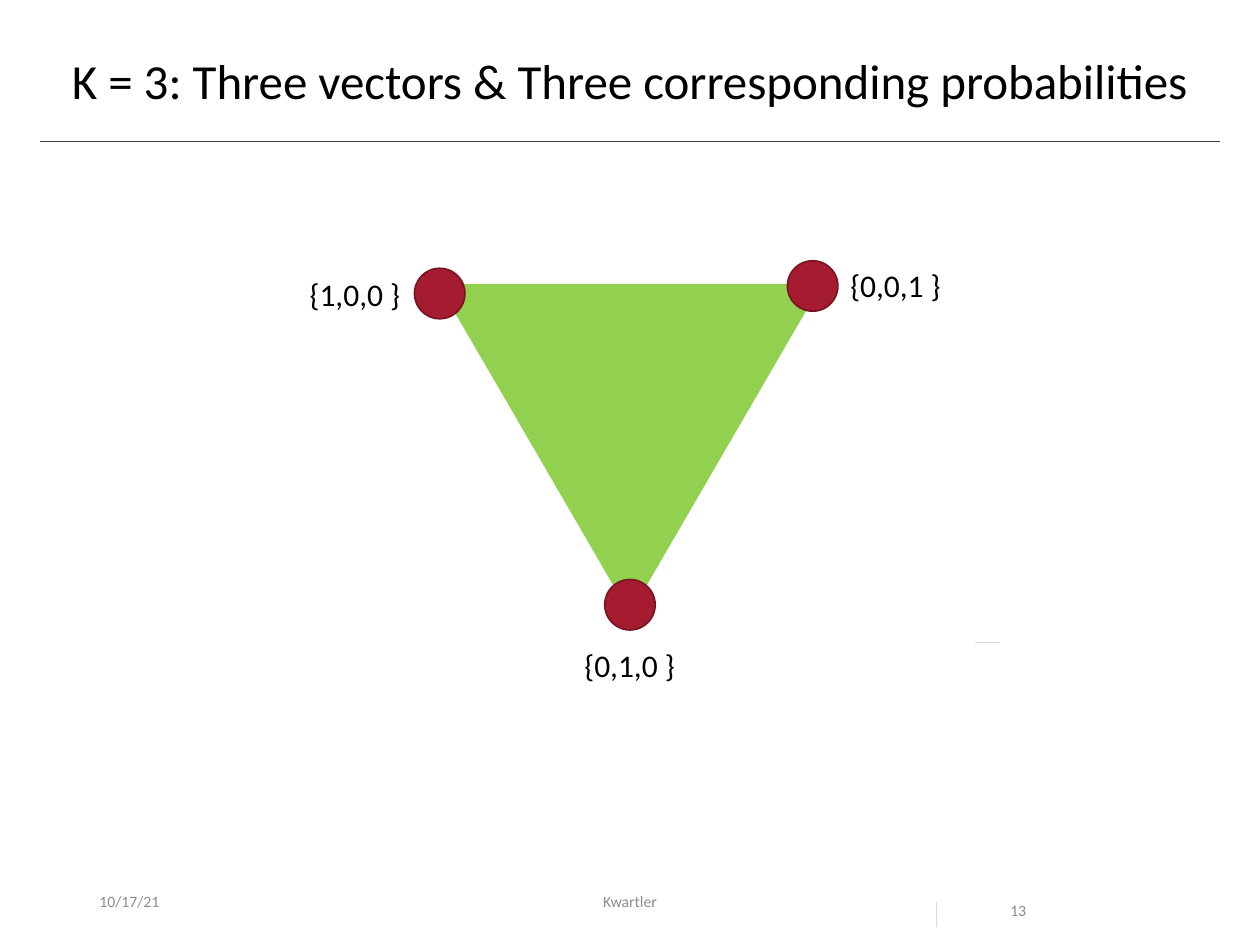
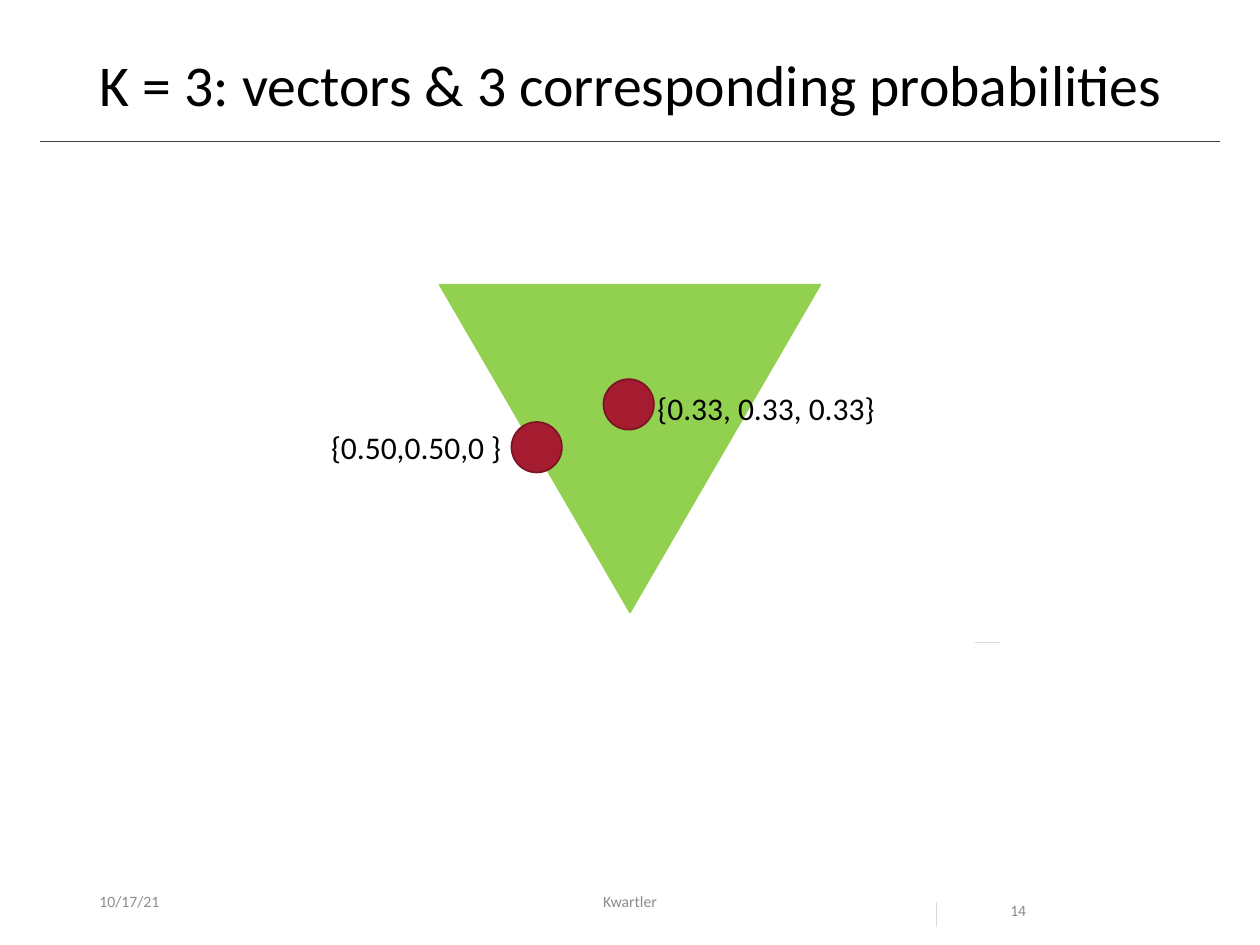
from pptx import Presentation
from pptx.dml.color import RGBColor
from pptx.enum.shapes import MSO_CONNECTOR as Connector, MSO_SHAPE as Shape
from pptx.enum.text import MSO_ANCHOR as Anchor, MSO_AUTO_SIZE as AutoSize, PP_ALIGN as Align
from pptx.oxml.ns import qn
from pptx.util import Inches, Pt
from lxml import etree

COLORS = {
    "text": "000000",
    "footer": "8C8C8C",
    "rule": "404040",
    "tick": "D9D9D9",
    "simplex": "92D050",
    "point": "A51C30",
    "point_edge": "7A1524",
}
FONT = "Calibri"
COLUMNS, ROWS = 100, 75
TITLE_ONLY = 5
DOT_SIZE = 4
LABEL_HEIGHT = 4
FOOTER_TOP = 69.5

SLIDES = [
    {
        "number": "13",
        "title": ("K = 3: Three vectors & Three corresponding probabilities", 28, 4.7, 90.6, 5.3),
        "labels": [
            ("{0,1,0 }", 45.4, 50.8, 9.3),
            ("{1,0,0 }", 23.6, 21.3, 9.3),
            ("{0,0,1 }", 66.5, 20.6, 9.3),
        ],
        "dots": [(32.9, 21.3), (48, 46), (62.5, 20.7)],
    },
    {
        "number": "14",
        "title": ("K = 3: vectors & 3 corresponding probabilities", 33, 6.9, 87.3, 6),
        "labels": [
            ("{0.50,0.50,0 }", 25.3, 33.5, 15.7),
            ("{0.33, 0.33, 0.33}", 51.2, 30.4, 19.4),
        ],
        "dots": [(40.6, 33.5), (47.9, 30.1)],
    },
]


def color(name):
    return RGBColor.from_string(COLORS[name])


class Deck:
    def __init__(self):
        self.presentation = Presentation()
        self.presentation.slide_width = Inches(10)
        self.presentation.slide_height = Inches(7.5)
        self.cell_width = self.presentation.slide_width / COLUMNS
        self.cell_height = self.presentation.slide_height / ROWS
        self.slide = None

    def new_slide(self):
        layout = self.presentation.slide_layouts[TITLE_ONLY]
        self.slide = self.presentation.slides.add_slide(layout)

    def place(self, column, row, width, height):
        return (
            round(column * self.cell_width),
            round(row * self.cell_height),
            round(width * self.cell_width),
            round(height * self.cell_height),
        )

    def fill_text(self, shape, text, size, fill, anchor=Anchor.TOP, align=Align.LEFT, spacing=1.0, wrap=True):
        frame = shape.text_frame
        frame.word_wrap = wrap
        frame.auto_size = AutoSize.NONE if wrap else AutoSize.SHAPE_TO_FIT_TEXT
        frame.vertical_anchor = anchor
        paragraph = frame.paragraphs[0]
        paragraph.alignment = align
        paragraph.line_spacing = spacing
        run = paragraph.add_run()
        run.text = text
        run.font.name = FONT
        run.font.size = Pt(size)
        run.font.color.rgb = color(fill)

    def title(self, text, size, column, width, height):
        shape = self.slide.shapes.title
        shape.left, shape.top, shape.width, shape.height = self.place(column, 4, width, height)
        self.fill_text(shape, text, size, "text", anchor=Anchor.MIDDLE, spacing=0.9, wrap=False)

    def text(self, text, column, row, width, size=18, fill="text", **style):
        shape = self.slide.shapes.add_textbox(*self.place(column, row, width, LABEL_HEIGHT))
        self.fill_text(shape, text, size, fill, **style)

    def label(self, text, column, row, width):
        self.text(text, column, row, width, wrap=False)

    def shape(self, kind, box, fill, edge):
        shape = self.slide.shapes.add_shape(kind, *self.place(*box))
        shape.shadow.inherit = False
        shape.fill.solid()
        shape.fill.fore_color.rgb = color(fill)
        shape.line.color.rgb = color(edge)
        shape.line.width = Pt(1)
        return shape

    def simplex(self):
        self.shape(Shape.ISOSCELES_TRIANGLE, (34.9, 22.6, 30.2, 26), "simplex", "simplex").rotation = 180

    def dot(self, column, row):
        self.shape(Shape.OVAL, (column, row, DOT_SIZE, DOT_SIZE), "point", "point_edge")

    def line(self, column, row, width, height, fill):
        left, top, across, down = self.place(column, row, width, height)
        connector = self.slide.shapes.add_connector(
            Connector.STRAIGHT, left, top, left + across, top + down
        )
        connector.line.color.rgb = color(fill)
        connector.line.width = Pt(0.5)
        etree.SubElement(connector._element.spPr, qn("a:effectLst"))

    def footer(self, number):
        style = {"size": 9, "fill": "footer"}
        self.text("10/17/21", 6.9, FOOTER_TOP, 22.5, anchor=Anchor.MIDDLE, **style)
        self.text("Kwartler", 33.1, FOOTER_TOP, 33.8, anchor=Anchor.MIDDLE, align=Align.CENTER, **style)
        self.text(number, 79.2, FOOTER_TOP, 9.4, spacing=2.0, **style)

    def simplex_slide(self, number, title, labels, dots):
        self.new_slide()
        self.line(3.2, 11.2, 93.6, 0, "rule")
        self.footer(number)
        self.simplex()
        self.title(*title)
        for label in labels:
            self.label(*label)
        for dot in dots:
            self.dot(*dot)
        self.line(74.3, 71.6, 0, 2, "tick")
        self.line(77.4, 51, 2, 0, "tick")


def main():
    deck = Deck()
    for content in SLIDES:
        deck.simplex_slide(**content)
    deck.presentation.save("out.pptx")


if __name__ == "__main__":
    main()
